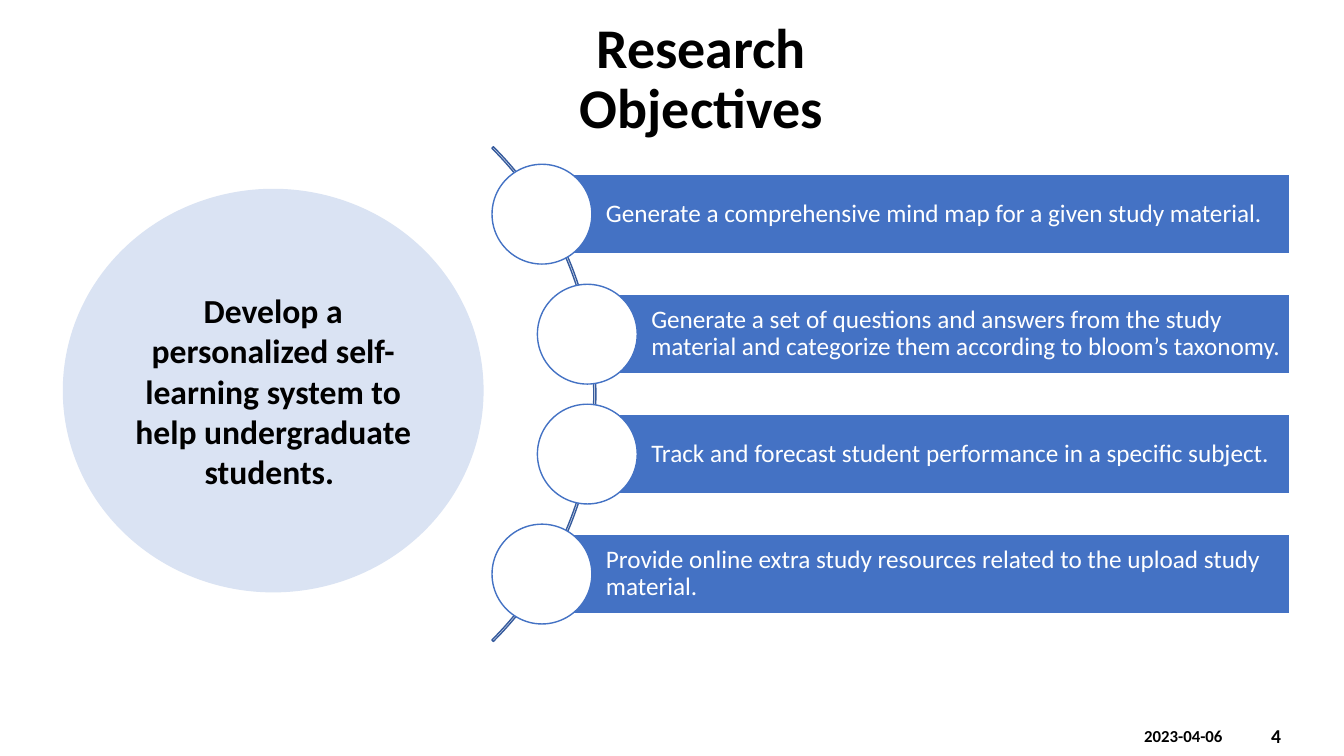
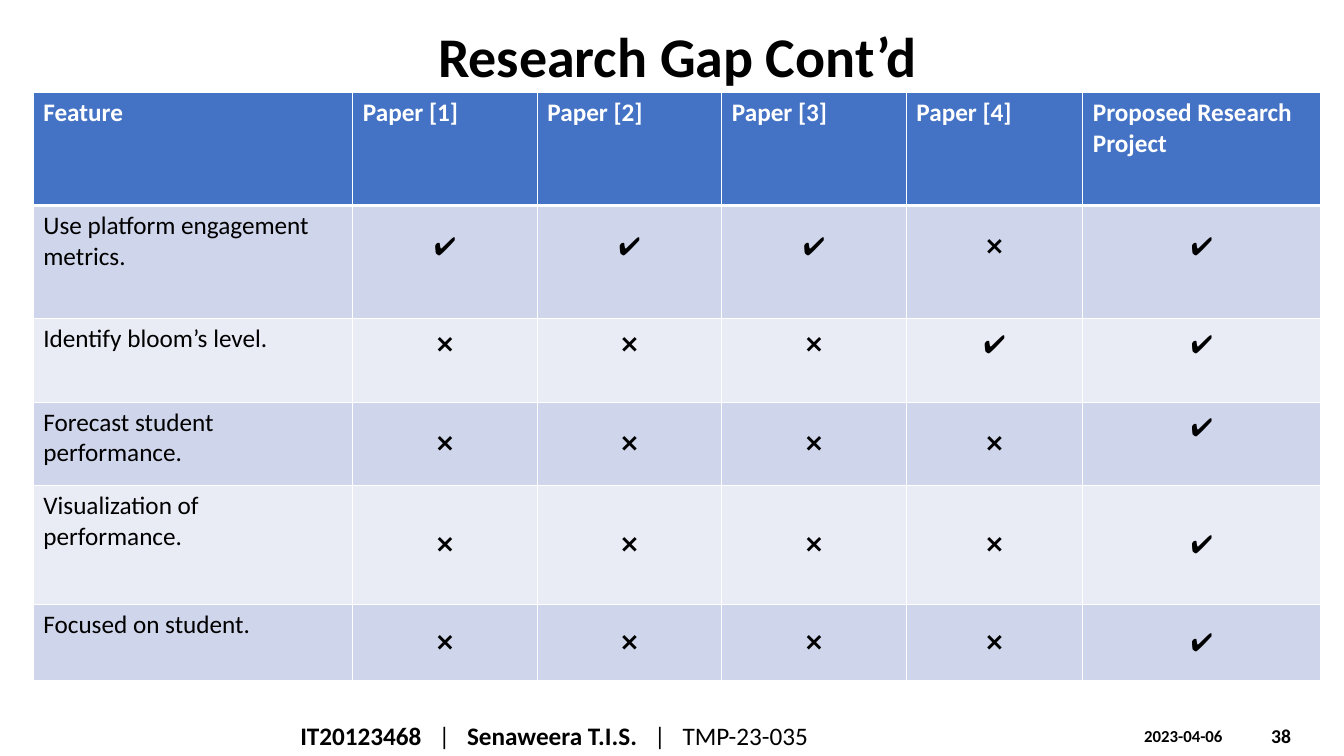
from dataclasses import dataclass

from lxml import etree
from pptx import Presentation
from pptx.dml.color import RGBColor
from pptx.enum.shapes import MSO_SHAPE
from pptx.enum.text import MSO_ANCHOR, PP_ALIGN
from pptx.oxml.ns import qn
from pptx.shapes.autoshape import Shape
from pptx.slide import Slide
from pptx.table import _Cell
from pptx.text.text import TextFrame
from pptx.util import Emu, Pt

LEFT, CENTER = PP_ALIGN.LEFT, PP_ALIGN.CENTER
TOP, MIDDLE = MSO_ANCHOR.TOP, MSO_ANCHOR.MIDDLE
RECTANGLE, OVAL, ARC = MSO_SHAPE.RECTANGLE, MSO_SHAPE.OVAL, MSO_SHAPE.BLOCK_ARC

EMU_PER_PX = 9144  # 100 px to the inch
SLIDE_WIDTH, SLIDE_HEIGHT = 1333, 750
FONT = "Calibri"
COLORS = {
    "black": "000000",
    "white": "FFFFFF",
    "blue": "4472C4",
    "dark_blue": "365B9D",
    "pale_blue": "DAE3F3",
    "band_dark": "CFD5EA",
    "band_light": "E9EBF5",
}


@dataclass(frozen=True)
class Box:
    left: int
    top: int
    width: int
    height: int

    def emu(self) -> tuple[Emu, Emu, Emu, Emu]:
        return px(self.left), px(self.top), px(self.width), px(self.height)


@dataclass(frozen=True)
class Run:
    text: str
    size: int
    bold: bool = False
    color: str = "black"
    spacing: int = 0  # extra width after each character, in points


@dataclass(frozen=True)
class Objective:
    text: str
    indent: int


@dataclass(frozen=True)
class Feature:
    name: str
    marks: str
    height: int
    raised: tuple[int, ...] = ()  # mark columns set above the middle


def px(length: int) -> Emu:
    return Emu(length * EMU_PER_PX)


def rgb(name: str) -> RGBColor:
    return RGBColor.from_string(COLORS[name])


# Text and shapes
def write(frame: TextFrame, runs: list[Run], align: PP_ALIGN = LEFT,
          line_spacing: float = 1.0) -> None:
    frame.word_wrap = True
    paragraph = frame.paragraphs[0]
    paragraph.alignment = align
    paragraph.line_spacing = line_spacing
    for item in runs:
        run = paragraph.add_run()
        run.text = item.text
        run.font.name = FONT
        run.font.size = Pt(item.size)
        run.font.bold = item.bold
        run.font.color.rgb = rgb(item.color)
        if item.spacing:
            run.font._element.set("spc", str(item.spacing * 100))


def add_text(slide: Slide, box: Box, runs: list[Run], align: PP_ALIGN = LEFT,
             anchor: MSO_ANCHOR = MIDDLE, line_spacing: float = 1.0) -> None:
    frame = slide.shapes.add_textbox(*box.emu()).text_frame
    frame.vertical_anchor = anchor
    write(frame, runs, align, line_spacing)


def add_shape(slide: Slide, kind: MSO_SHAPE, box: Box, fill: str | None, line: str) -> Shape:
    shape = slide.shapes.add_shape(kind, *box.emu())
    shape.shadow.inherit = False
    if fill:
        shape.fill.solid()
        shape.fill.fore_color.rgb = rgb(fill)
    else:
        shape.fill.background()
    shape.line.color.rgb = rgb(line)
    shape.line.width = Pt(1)
    shape.text_frame.vertical_anchor = MIDDLE
    return shape


# Parts shared by the slides
def add_slide(presentation: Presentation, title: str, title_box: Box, number: int) -> Slide:
    slide = presentation.slides.add_slide(presentation.slide_layouts[6])
    add_text(slide, Box(1251, 710, 74, 40), [Run(str(number), 14, True)])
    add_text(slide, Box(1125, 715, 117, 30), [Run("2023-04-06", 12, True)], anchor=TOP)
    add_text(slide, title_box, [Run(title, 40, True)], CENTER, line_spacing=0.9)
    return slide


# Research objectives
OBJECTIVES = [
    Objective("Generate a comprehensive mind map for a given study material.", 0),
    Objective("Generate a set of questions and answers from the study material and "
              "categorize them according to bloom’s taxonomy.", 45),
    Objective("Track and forecast student performance in a specific subject.", 45),
    Objective("Provide online extra study resources related to the upload study material.", 0),
]
BAR_LEFT, BAR_RIGHT, BAR_TOP, BAR_HEIGHT, BAR_PITCH = 538, 1279, 173, 79, 119
CIRCLE_SIZE = 99


def add_objective(slide: Slide, objective: Objective, top: int) -> None:
    left = BAR_LEFT + objective.indent
    bar = add_shape(slide, RECTANGLE, Box(left, top, BAR_RIGHT - left, BAR_HEIGHT),
                    "blue", "white")
    frame = bar.text_frame
    frame.margin_left = px(63)
    frame.margin_top = frame.margin_right = frame.margin_bottom = px(5)
    write(frame, [Run(objective.text, 18, color="white")], line_spacing=0.9)
    circle = Box(left - 50, top - (CIRCLE_SIZE - BAR_HEIGHT) // 2, CIRCLE_SIZE, CIRCLE_SIZE)
    add_shape(slide, OVAL, circle, "white", "blue")


def build_objectives(presentation: Presentation) -> None:
    slide = add_slide(presentation, "Research Objectives", Box(459, 32, 473, 96), 4)
    arc = add_shape(slide, ARC, Box(-103, 44, 694, 694), None, "dark_blue")
    for index, value in enumerate((189, 27, 0.003)):
        arc.adjustments[index] = value
    for index, objective in enumerate(OBJECTIVES):
        add_objective(slide, objective, BAR_TOP + index * BAR_PITCH)
    goal = add_shape(slide, OVAL, Box(63, 188, 416, 399), "pale_blue", "pale_blue")
    write(goal.text_frame, [Run("Develop a personalized self-learning system to help "
                                "undergraduate students. ", 24, True)], CENTER)


# Research gap
HEADINGS = ["Feature", "Paper [1]", "Paper [2]", "Paper [3]", "Paper [4]",
            "Proposed Research Project"]
COLUMN_WIDTHS = [317, 183, 183, 183, 175, 236]
HEADER_HEIGHT = 112
FEATURES = [
    Feature("Use platform engagement metrics.", "✔✔✔❌✔", 112, (1, 2, 3, 4, 5)),
    Feature("Identify bloom’s level.", "❌❌❌✔✔", 83, (1, 2, 3, 4, 5)),
    Feature("Forecast student performance.", "❌❌❌❌✔", 83, (5,)),
    Feature("Visualization of performance.", "❌❌❌❌✔", 118),
    Feature("Focused on student.", "❌❌❌❌✔", 75),
]


def style_cell(cell: _Cell, fill: str, top: int = 1, bottom: int = 1) -> None:
    properties = cell._tc.get_or_add_tcPr()
    for side, width in (("L", 1), ("R", 1), ("T", top), ("B", bottom)):
        line = etree.SubElement(properties, qn(f"a:ln{side}"), w=str(Pt(width)))
        solid = etree.SubElement(line, qn("a:solidFill"))
        etree.SubElement(solid, qn("a:srgbClr"), val=COLORS["white"])
    cell.fill.solid()
    cell.fill.fore_color.rgb = rgb(fill)


def add_gap_table(slide: Slide) -> None:
    heights = [HEADER_HEIGHT] + [feature.height for feature in FEATURES]
    box = Box(33, 92, sum(COLUMN_WIDTHS), sum(heights))
    table = slide.shapes.add_table(len(heights), len(HEADINGS), *box.emu()).table
    table.first_row = table.horz_banding = False
    for column, width in zip(table.columns, COLUMN_WIDTHS):
        column.width = px(width)
    for row, height in zip(table.rows, heights):
        row.height = px(height)
    for column, heading in enumerate(HEADINGS):
        cell = table.cell(0, column)
        style_cell(cell, "blue", bottom=3)
        write(cell.text_frame, [Run(heading, 18, True, "white")])
    for row, feature in enumerate(FEATURES, start=1):
        fill = "band_dark" if row % 2 else "band_light"
        for column, text in enumerate([feature.name, *feature.marks]):
            cell = table.cell(row, column)
            style_cell(cell, fill, top=3 if row == 1 else 1)
            write(cell.text_frame, [Run(text, 18)], CENTER if column else LEFT)
            if column:
                cell.vertical_anchor = MIDDLE
            if column in feature.raised:
                cell.margin_bottom = px(36)


def build_gap(presentation: Presentation) -> None:
    slide = add_slide(presentation, "Research Gap Cont’d", Box(33, 25, 1278, 67), 38)
    add_gap_table(slide)
    gap = Run(" ", 18, spacing=8)
    separator = [gap, Run("|", 18), gap]
    add_text(slide, Box(288, 710, 745, 40),
             [Run("IT20123468", 18, True), *separator,
              Run("Senaweera T.I.S.", 18, True), *separator,
              Run("TMP-23-035", 18)])


def main() -> None:
    presentation = Presentation()
    presentation.slide_width, presentation.slide_height = px(SLIDE_WIDTH), px(SLIDE_HEIGHT)
    build_objectives(presentation)
    build_gap(presentation)
    presentation.save("out.pptx")


if __name__ == "__main__":
    main()
